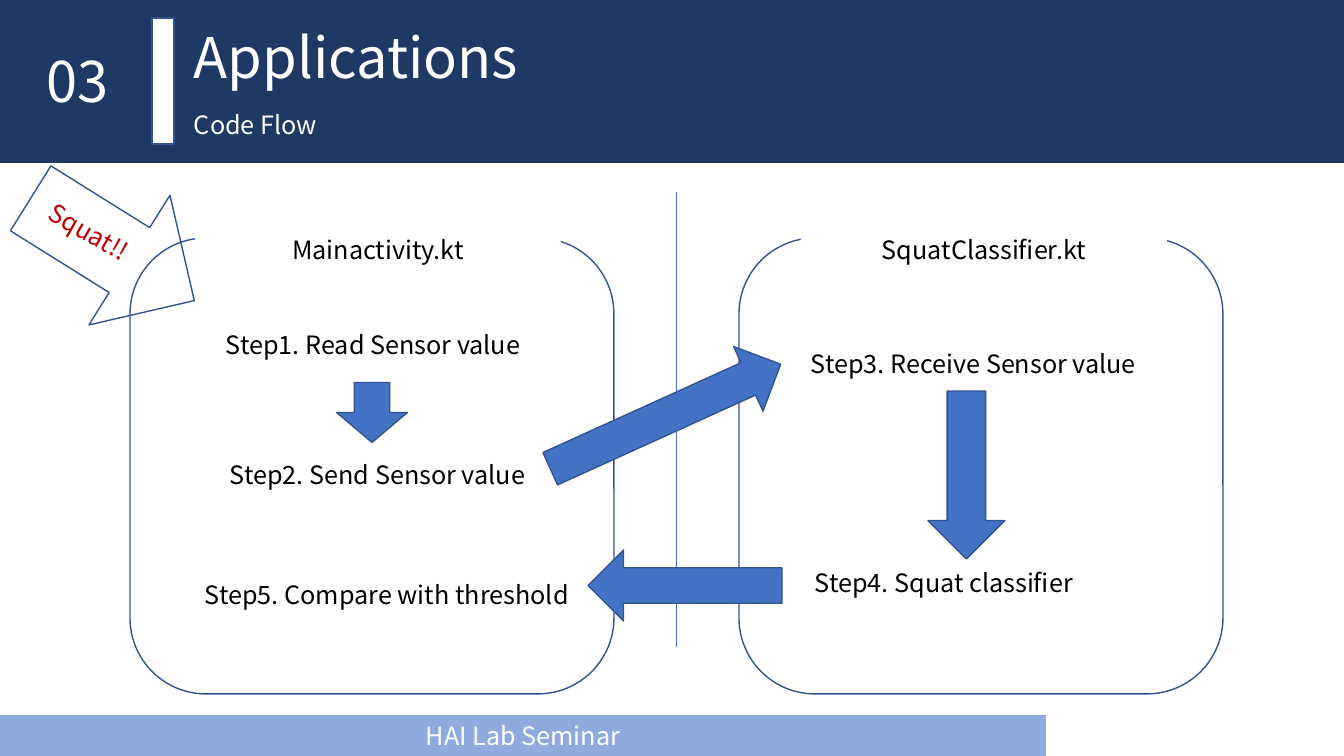
from lxml.etree import SubElement
from pptx import Presentation
from pptx.dml.color import RGBColor
from pptx.enum.shapes import MSO_CONNECTOR, MSO_SHAPE
from pptx.enum.text import MSO_ANCHOR, MSO_AUTO_SIZE, PP_ALIGN
from pptx.oxml.ns import qn
from pptx.util import Emu, Pt

PX = 914400 / 100.8
FONT = "Noto Sans CJK KR"
WHITE = RGBColor(0xFF, 0xFF, 0xFF)
BLACK = RGBColor(0, 0, 0)
RED = RGBColor(0xC0, 0, 0)
NAVY = RGBColor(0x20, 0x38, 0x64)
BLUE = RGBColor(0x44, 0x72, 0xC4)
OUTLINE = RGBColor(0x32, 0x54, 0x91)
PALE_BLUE = RGBColor(0x8F, 0xAA, 0xDC)

deck = Presentation()
deck.slide_width, deck.slide_height = Emu(round(1344 * PX)), Emu(round(756 * PX))
page = deck.slides.add_slide(deck.slide_layouts[6])


def add_block(kind, bounds, fill=None, line=None, rotation=0):
    block = page.shapes.add_shape(kind, *[Emu(round(length * PX)) for length in bounds])
    block.shadow.inherit = False
    block.rotation = rotation
    if fill is None:
        block.fill.background()
    else:
        block.fill.solid()
        block.fill.fore_color.rgb = fill
    if line is None:
        block.line.fill.background()
    else:
        block.line.color.rgb = line
        block.line.width = Pt(1)
    return block


def add_text(text, bounds=None, box=None, size=18, color=BLACK,
             align=PP_ALIGN.LEFT, anchor=MSO_ANCHOR.TOP, rotation=0):
    if box is None:
        box = page.shapes.add_textbox(*[Emu(round(length * PX)) for length in bounds])
        box.rotation = rotation
        box.text_frame.auto_size = MSO_AUTO_SIZE.SHAPE_TO_FIT_TEXT
    frame = box.text_frame
    frame.word_wrap = True
    frame.vertical_anchor = anchor
    para = frame.paragraphs[0]
    para.alignment = align
    span = para.add_run()
    span.text = text
    span.font.name = FONT
    span.font.size = Pt(size)
    span.font.color.rgb = color


panels = [(130, "Mainactivity.kt", 195), (739, "SquatClassifier.kt", 801)]
for panel_left, file_name, label_left in panels:
    add_block(MSO_SHAPE.ROUNDED_RECTANGLE, (panel_left, 238, 484, 456), line=OUTLINE)
    label = add_block(MSO_SHAPE.RECTANGLE, (label_left, 182, 366, 134), fill=WHITE)
    add_text(file_name, box=label, align=PP_ALIGN.CENTER, anchor=MSO_ANCHOR.MIDDLE)

add_block(MSO_SHAPE.RIGHT_ARROW, (16, 173, 193, 153), line=OUTLINE, rotation=32)
add_text("Squat!!", (36, 213, 112, 40), color=RED, rotation=29.8)

add_block(MSO_SHAPE.RECTANGLE, (0, 0, 1344, 163), fill=NAVY)
add_block(MSO_SHAPE.RECTANGLE, (152, 18, 22, 126), fill=WHITE, line=OUTLINE)
add_text("03", (37, 42, 104, 78), size=40, color=WHITE)
add_text("Applications", (184, 18, 547, 78), size=40, color=WHITE)
add_text("Code Flow", (184, 104, 587, 40), color=WHITE)

footer = add_block(MSO_SHAPE.RECTANGLE, (0, 715, 1046, 41), fill=PALE_BLUE)
add_text("HAI Lab Seminar", box=footer, color=WHITE, align=PP_ALIGN.CENTER)

divider = page.shapes.add_connector(
    MSO_CONNECTOR.STRAIGHT, *[Emu(round(length * PX)) for length in (676, 192, 676, 647)])
divider.line.color.rgb = BLUE
divider.line.width = Pt(0.5)
SubElement(divider.element.spPr, qn("a:effectLst"))

steps = [
    ("Read Sensor value", 216, 324, 333),
    ("Send Sensor value", 220, 454, 317),
    ("Receive Sensor value", 801, 343, 366),
    ("Squat classifier", 805, 562, 280),
    ("Compare with threshold", 195, 574, 391),
]
for number, (action, left, top, width) in enumerate(steps, 1):
    add_text(f"Step{number}. {action}", (left, top, width, 40))

flow_arrows = [
    (MSO_SHAPE.RIGHT_ARROW, (342, 377, 60, 71), 90),
    (MSO_SHAPE.RIGHT_ARROW, (539, 381, 253, 71), 335.6),
    (MSO_SHAPE.DOWN_ARROW, (928, 391, 77, 168), 0),
    (MSO_SHAPE.RIGHT_ARROW, (588, 550, 194, 71), 180),
]
for kind, bounds, rotation in flow_arrows:
    add_block(kind, bounds, fill=BLUE, line=OUTLINE, rotation=rotation)

deck.save("out.pptx")
